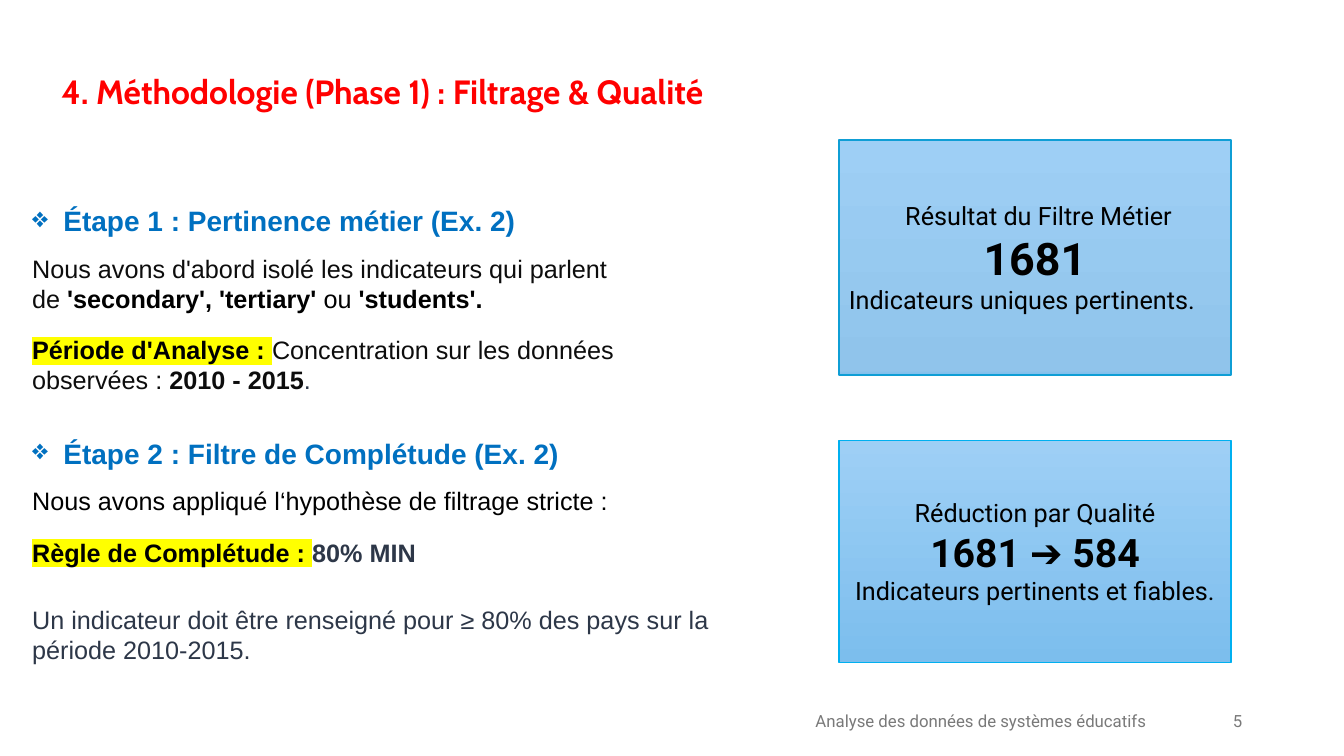
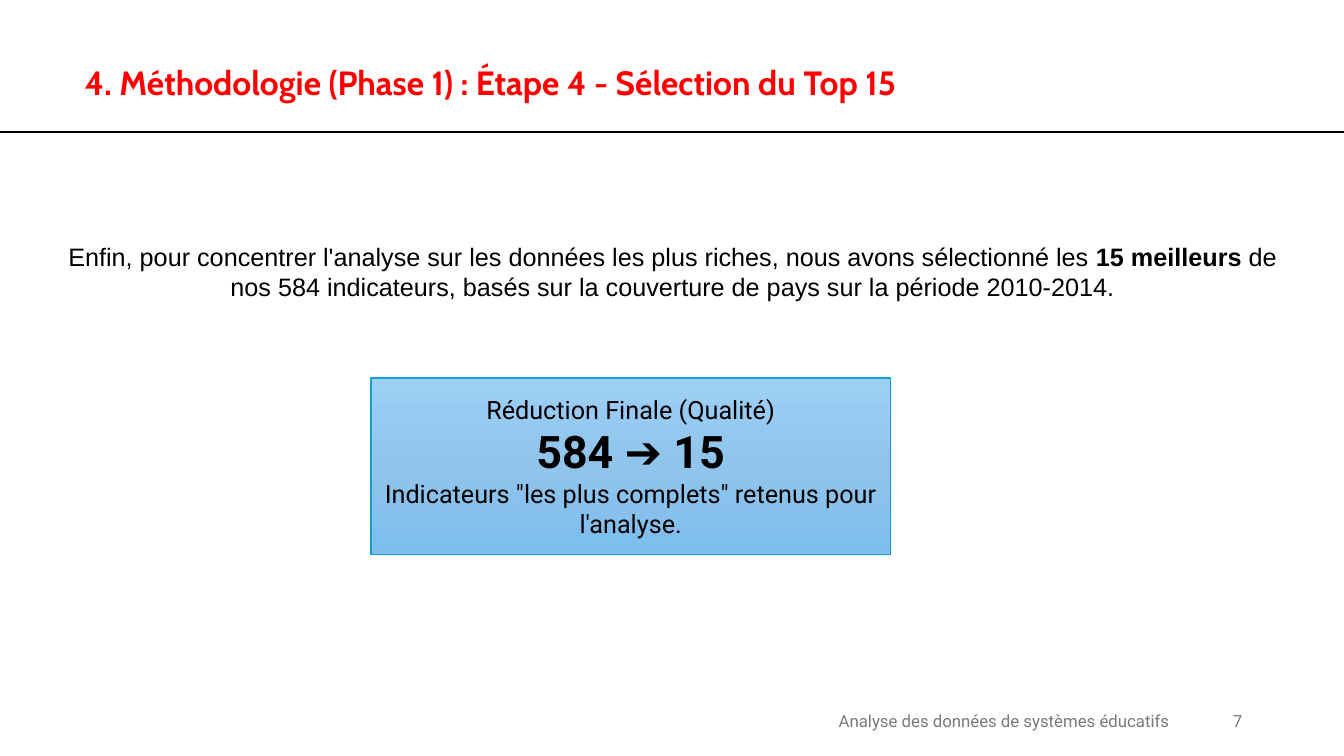
from dataclasses import dataclass
from typing import Optional

from lxml.etree import SubElement
from pptx import Presentation
from pptx.dml.color import RGBColor
from pptx.enum.shapes import MSO_CONNECTOR, MSO_SHAPE
from pptx.enum.text import MSO_ANCHOR, PP_ALIGN
from pptx.oxml.ns import qn
from pptx.slide import Slide
from pptx.text.text import TextFrame, _Paragraph
from pptx.util import Inches, Pt

RED = RGBColor(0xFF, 0x00, 0x00)
BLACK = RGBColor(0x00, 0x00, 0x00)
INK = RGBColor(0x0D, 0x0D, 0x0D)
SLATE = RGBColor(0x2D, 0x37, 0x48)
GREY = RGBColor(0x79, 0x79, 0x79)
BLUE = RGBColor(0x00, 0x70, 0xC0)
EDGE = RGBColor(0x0F, 0x9E, 0xD5)
SKY = RGBColor(0x00, 0xB0, 0xF0)
YELLOW = RGBColor(0xFF, 0xFF, 0x00)
LIGHT = RGBColor(0x9E, 0xCF, 0xF5)
MID = RGBColor(0x90, 0xC4, 0xEB)
DEEP = RGBColor(0x7C, 0xBE, 0xED)

NB = chr(160)
LEFT, CENTER, RIGHT = PP_ALIGN.LEFT, PP_ALIGN.CENTER, PP_ALIGN.RIGHT
Area = tuple[float, float, float, float]


@dataclass(frozen=True)
class Run:
    text: str
    bold: bool = False
    color: RGBColor = BLACK
    size: int = 18
    font: str = "Arial"
    mark: Optional[RGBColor] = None


@dataclass(frozen=True)
class Para:
    runs: tuple[Run, ...]
    before: float = 0
    after: float = 0
    align: PP_ALIGN = LEFT
    indent: float = 0
    bullet: str = ""


@dataclass(frozen=True)
class Card:
    area: Area
    head: str
    value: str
    note: str
    stops: tuple[tuple[int, RGBColor], ...]
    size: int = 32
    edge: RGBColor = EDGE
    shape: MSO_SHAPE = MSO_SHAPE.FLOWCHART_PROCESS
    indent: Optional[float] = None


def write(par: _Paragraph, text: str, *, size: int, font: str, color: RGBColor,
          bold: bool = False, mark: Optional[RGBColor] = None) -> None:
    run = par.add_run()
    run.text = text
    run.font.size = Pt(size)
    run.font.bold = bold
    run.font.color.rgb = color
    if mark is not None:
        light = SubElement(run.font._element, qn("a:highlight"))
        SubElement(light, qn("a:srgbClr"), val=str(mark))
    run.font.name = font


def fill_text(frame: TextFrame, paras: list[Para], anchor: MSO_ANCHOR) -> None:
    frame.word_wrap = True
    frame.vertical_anchor = anchor
    for i, item in enumerate(paras):
        par = frame.add_paragraph() if i else frame.paragraphs[0]
        par.alignment = item.align
        par.space_before = Pt(item.before)
        par.space_after = Pt(item.after)
        if item.indent:
            props = par._p.get_or_add_pPr()
            props.set("marL", str(Inches(item.indent)))
            if item.bullet:
                props.set("indent", str(-Inches(item.indent)))
                SubElement(props, qn("a:buChar"), char=item.bullet)
        for run in item.runs:
            write(par, run.text, size=run.size, font=run.font, color=run.color,
                  bold=run.bold, mark=run.mark)


def add_text(slide: Slide, area: Area, paras: list[Para],
             anchor: MSO_ANCHOR = MSO_ANCHOR.TOP) -> None:
    box = slide.shapes.add_textbox(*map(Inches, area))
    fill_text(box.text_frame, paras, anchor)


def add_title(slide: Slide, area: Area, text: str) -> None:
    run = Run(text, True, RED, 24, "Cabin")
    add_text(slide, area, [Para((run,), after=18.8)])


def add_foot(slide: Slide, left: float, page: int) -> None:
    for x, width, text, align in (
        (left, 4.5, "Analyse des données de systèmes éducatifs", CENTER),
        (9.42, 3, str(page), RIGHT),
    ):
        run = Run(text, color=GREY, size=12, font="Roboto")
        add_text(slide, (x, 6.95, width, 0.4), [Para((run,), align=align)],
                 MSO_ANCHOR.MIDDLE)


def add_card(slide: Slide, card: Card) -> None:
    box = slide.shapes.add_shape(card.shape, *map(Inches, card.area))
    box.shadow.inherit = False
    box.fill.gradient()
    box.fill.gradient_angle = 270
    stops = box._element.spPr.find(qn("a:gradFill")).find(qn("a:gsLst"))
    for old in list(stops):
        stops.remove(old)
    for place, color in card.stops:
        stop = SubElement(stops, qn("a:gs"), pos=str(place * 1000))
        SubElement(stop, qn("a:srgbClr"), val=str(color))
    box.line.color.rgb = card.edge
    box.line.width = Pt(1)
    side = CENTER if card.indent is None else LEFT
    fill_text(box.text_frame, [
        Para((Run(card.head, font="Roboto"),), align=side, indent=card.indent or 0),
        Para((Run(card.value, True, size=card.size, font="Roboto"),), align=CENTER),
        Para((Run(card.note, font="Roboto"),), align=side),
    ], MSO_ANCHOR.MIDDLE)


def add_rule(slide: Slide, y: float, width: float) -> None:
    rule = slide.shapes.add_connector(
        MSO_CONNECTOR.STRAIGHT, 0, Inches(y), Inches(width), Inches(y))
    rule.line.color.rgb = BLACK
    rule.line.width = Pt(1)
    SubElement(rule._element.spPr, qn("a:effectLst"))


def step(text: str) -> Para:
    return Para((Run(text, True, BLUE, 20),), after=11.2, indent=0.31, bullet="❖")


def block(*runs: Run) -> Para:
    return Para(runs, before=15, after=11.2)


def build_filter(slide: Slide) -> None:
    add_title(slide, (0.51, 0.65, 8.17, 0.5),
              "4. Méthodologie (Phase 1) : Filtrage & Qualité")
    add_card(slide, Card(
        (8.32, 1.39, 3.89, 2.33), "Résultat du Filtre Métier", "1681",
        "Indicateurs uniques pertinents.",
        ((0, LIGHT), (98, MID), (100, DEEP)), indent=0.56))
    add_text(slide, (0.22, 1.97, 7.72, 2.01), [
        step("Étape 1 : Pertinence métier (Ex. 2)"),
        Para((
            Run(f"Nous avons d'abord isolé les indicateurs qui parlent de{NB}", color=INK),
            Run(f"'secondary',{NB}'tertiary'{NB}", True),
            Run("ou"),
            Run(f"{NB}'students'.", True),
        )),
        block(
            Run("Période d'Analyse : ", True, mark=YELLOW),
            Run(f"Concentration sur les données observées :{NB}", color=INK),
            Run("2010 - 2015", True, INK),
            Run(".", color=SLATE),
        ),
    ])
    add_text(slide, (0.22, 4.28, 7.81, 2.38), [
        step("Étape 2 : Filtre de Complétude (Ex. 2)"),
        Para((Run("Nous avons appliqué l‘hypothèse de filtrage stricte :"),)),
        block(
            Run("Règle de Complétude : ", True, mark=YELLOW),
            Run("80% MIN", True, SLATE),
        ),
        block(Run("Un indicateur doit être renseigné pour ≥ 80% des pays "
                  "sur la période 2010-2015.", color=SLATE)),
    ])
    add_card(slide, Card(
        (8.32, 4.37, 3.89, 2.2), "Réduction par Qualité", "1681 ➔ 584",
        "Indicateurs pertinents et fiables.",
        ((0, LIGHT), (100, DEEP)), size=28, edge=SKY))
    add_foot(slide, 7.48, 5)


def build_top(slide: Slide) -> None:
    add_text(slide, (0.56, 2.34, 12.22, 0.71), [Para((
        Run("Enfin, pour concentrer l'analyse sur les données les plus riches, "
            f"nous avons sélectionné les{NB}"),
        Run("15 meilleurs", True),
        Run(f"{NB}de nos 584 indicateurs, basés sur la couverture de pays "
            "sur la période 2010-2014."),
    ), align=CENTER)])
    add_title(slide, (0.74, 0.57, 9.86, 0.5),
              "4. Méthodologie (Phase 1) : Étape 4 - Sélection du Top 15")
    add_card(slide, Card(
        (3.68, 3.75, 5.15, 1.75), "Réduction Finale (Qualité)", "584 ➔ 15",
        "Indicateurs \"les plus complets\" retenus pour l'analyse.",
        ((0, LIGHT), (50, MID), (100, DEEP)), shape=MSO_SHAPE.RECTANGLE))
    add_rule(slide, 1.31, 13.33)
    add_foot(slide, 7.71, 7)


def main() -> None:
    deck = Presentation()
    deck.slide_width = Inches(13.33)
    deck.slide_height = Inches(7.5)
    for build in (build_filter, build_top):
        build(deck.slides.add_slide(deck.slide_layouts[6]))
    deck.save("out.pptx")


if __name__ == "__main__":
    main()
